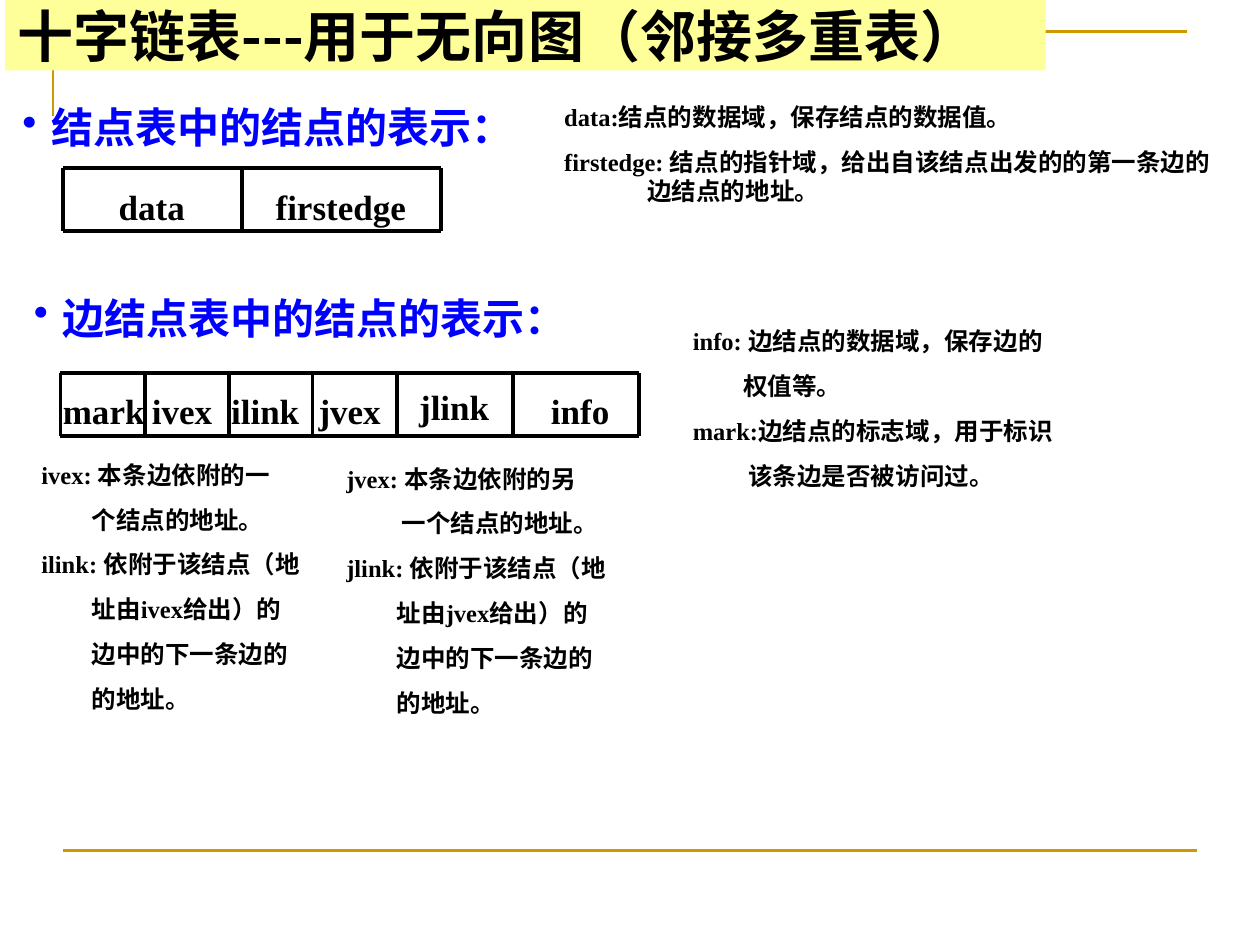
import pptx
import pptx.dml.color
import pptx.enum.shapes
import pptx.enum.text
import pptx.util
from lxml import etree
from pptx.oxml.ns import qn

Inches, Pt = pptx.util.Inches, pptx.util.Pt
RGBColor = pptx.dml.color.RGBColor
ALIGN = pptx.enum.text.PP_ALIGN

BLACK = RGBColor(0x00, 0x00, 0x00)
BLUE = RGBColor(0x00, 0x00, 0xFF)
GOLD = RGBColor(0xCC, 0x99, 0x00)
YELLOW = RGBColor(0xFF, 0xFF, 0x99)
LATIN, CHINESE = "Times New Roman", "Noto Sans CJK SC"

TITLE = "十字链表---用于无向图（邻接多重表）"
HEADINGS = [  # text, left, top, width
    ("结点表中的结点的表示：", 0.08, 0.76, 4.33),
    ("边结点表中的结点的表示：", 0.17, 2.27, 4.58),
]
RECORDS = [  # top of the row, ends of its horizontal lines, cell borders
    (1.33, [0.5, 3.5], [0.5, 1.92, 3.5]),
    (2.96, [0.48, 3.48, 5.07], [0.48, 1.15, 1.82, 2.48, 3.15, 4.07, 5.07]),
]
ROW_HEIGHT = 0.5
LABELS = [  # text, left, top, alignment
    ("data", 0.58, 1.42, ALIGN.CENTER),
    ("firstedge", 2.08, 1.42, ALIGN.CENTER),
    ("mark", 0.4, 3.04, ALIGN.LEFT),
    ("ivex", 0.82, 3.04, ALIGN.CENTER),
    ("ilink", 1.48, 3.04, ALIGN.CENTER),
    ("jvex", 2.15, 3.04, ALIGN.CENTER),
    ("jlink", 2.98, 3.01, ALIGN.CENTER),
    ("info", 3.98, 3.04, ALIGN.CENTER),
]
NOTES = [  # left, top, width, height, [(text, left margin, first-line indent)]
    (4.38, 0.76, 5.47, 0.92, [
        ("data:结点的数据域，保存结点的数据值。", 0, 0),
        ("firstedge: 结点的指针域，给出自该结点出发的的第一条边的边结点的地址。", 0.66, -0.66),
    ]),
    (5.4, 2.54, 3.58, 1.4, [
        ("info: 边结点的数据域，保存边的", 0, 0),
        ("权值等。", 0.4, 0),
        ("mark:边结点的标志域，用于标识", 0, 0),
        ("该条边是否被访问过。", 0.44, 0),
    ]),
    (0.23, 3.6, 2.33, 2.81, [
        ("ivex: 本条边依附的一", 0, 0),
        ("个结点的地址。", 0.4, 0),
        ("ilink: 依附于该结点（地", 0, 0),
        ("址由ivex给出）的", 0.4, 0),
        ("边中的下一条边的", 0.4, 0),
        ("的地址。", 0.4, 0),
    ]),
    (2.65, 3.63, 2.33, 2.81, [
        ("jvex: 本条边依附的另", 0, 0),
        ("一个结点的地址。", 0.44, 0),
        ("jlink: 依附于该结点（地", 0, 0),
        ("址由jvex给出）的", 0.4, 0),
        ("边中的下一条边的", 0.4, 0),
        ("的地址。", 0.4, 0),
    ]),
]


def add_line(page, start, end, color=BLACK, width=2.25):
    line = page.shapes.add_connector(
        pptx.enum.shapes.MSO_CONNECTOR.STRAIGHT, *map(Inches, start + end))
    line.line.color.rgb = color
    line.line.width = Pt(width)
    etree.SubElement(line._element.spPr, qn("a:effectLst"))


def add_box(page, left, top, width, height):
    box = page.shapes.add_textbox(*map(Inches, (left, top, width, height)))
    box.text_frame.word_wrap = True
    box.text_frame.auto_size = pptx.enum.text.MSO_AUTO_SIZE.SHAPE_TO_FIT_TEXT
    return box.text_frame


def set_indent(para, margin, first_line):
    properties = para._p.get_or_add_pPr()
    properties.set("marL", str(Inches(margin)))
    properties.set("indent", str(Inches(first_line)))
    return properties


def set_font(para, size, name, color=BLACK):
    font = para.font
    font.size, font.name, font.bold = Pt(size), name, True
    font.color.rgb = color


def add_frame(page):
    """Gold corner at the top left and gold rule at the bottom."""
    builder = page.shapes.build_freeform(Inches(0.42), Inches(0.92))
    builder.add_line_segments(
        [(Inches(0.42), Inches(0.25)), (Inches(9.42), Inches(0.25))], close=False)
    corner = builder.convert_to_shape()
    corner.shadow.inherit = False
    corner.fill.background()
    corner.line.color.rgb = GOLD
    corner.line.width = Pt(1.5)
    add_line(page, (0.5, 6.75), (9.5, 6.75), GOLD, 1.5)


def add_record(page, top, ends, borders):
    bottom = top + ROW_HEIGHT
    for left, right in zip(ends, ends[1:]):
        for y in (top, bottom):
            add_line(page, (left, y), (right, y))
    for x in borders:
        add_line(page, (x, bottom), (x, top))


def add_heading(page, text, left, top, width):
    para = add_box(page, left, top, width, 0.5).paragraphs[0]
    para.text = text
    properties = set_indent(para, 0.23, -0.23)
    color = etree.SubElement(properties, qn("a:buClr"))
    etree.SubElement(color, qn("a:srgbClr"), val=str(BLUE))
    etree.SubElement(properties, qn("a:buChar"), char="•")
    set_font(para, 24, CHINESE, BLUE)


def add_note(page, left, top, width, height, lines):
    frame = add_box(page, left, top, width, height)
    for number, (text, margin, first_line) in enumerate(lines):
        para = frame.add_paragraph() if number else frame.paragraphs[0]
        para.text = text
        set_indent(para, margin, first_line)
        if number:
            para.space_before = Pt(8.8)
        set_font(para, 14, LATIN)


def add_title(page):
    banner = page.shapes.add_shape(
        pptx.enum.shapes.MSO_SHAPE.RECTANGLE,
        *map(Inches, (0.04, 0, 8.26, 0.56)))
    banner.shadow.inherit = False
    banner.fill.solid()
    banner.fill.fore_color.rgb = YELLOW
    banner.line.fill.background()
    banner.text_frame.vertical_anchor = pptx.enum.text.MSO_ANCHOR.MIDDLE
    para = banner.text_frame.paragraphs[0]
    para.text = TITLE
    para.alignment = ALIGN.LEFT
    set_font(para, 32, CHINESE)


def main():
    deck = pptx.Presentation()
    deck.slide_width, deck.slide_height = Inches(10), Inches(7.5)
    page = deck.slides.add_slide(deck.slide_layouts[6])
    add_frame(page)
    for record in RECORDS:
        add_record(page, *record)
    for text, left, top, alignment in LABELS:
        para = add_box(page, left, top, 1.25, 0.44).paragraphs[0]
        para.text = text
        para.alignment = alignment
        set_font(para, 20, LATIN)
    for heading in HEADINGS:
        add_heading(page, *heading)
    for note in NOTES:
        add_note(page, *note)
    add_title(page)
    deck.save("out.pptx")


if __name__ == "__main__":
    main()
